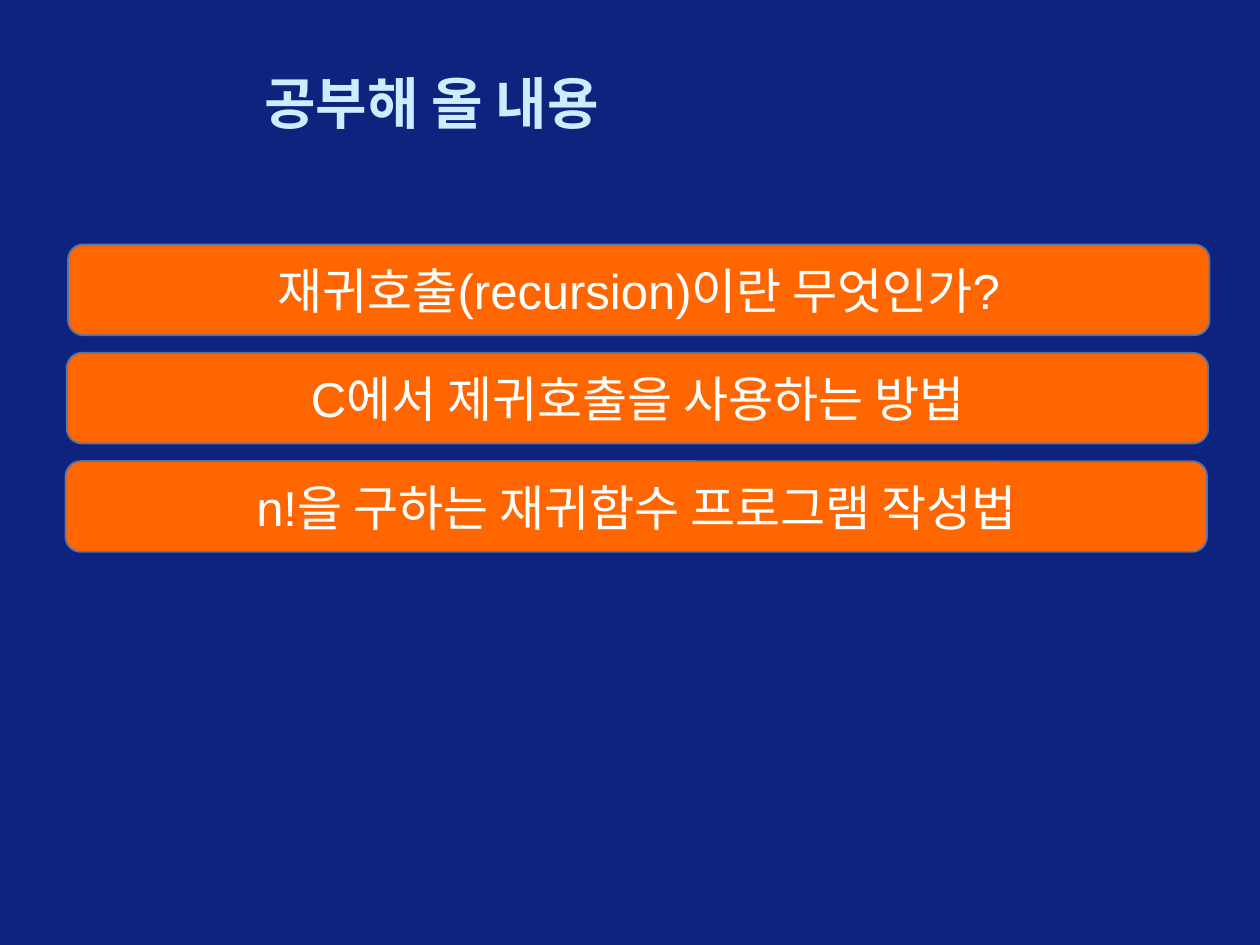
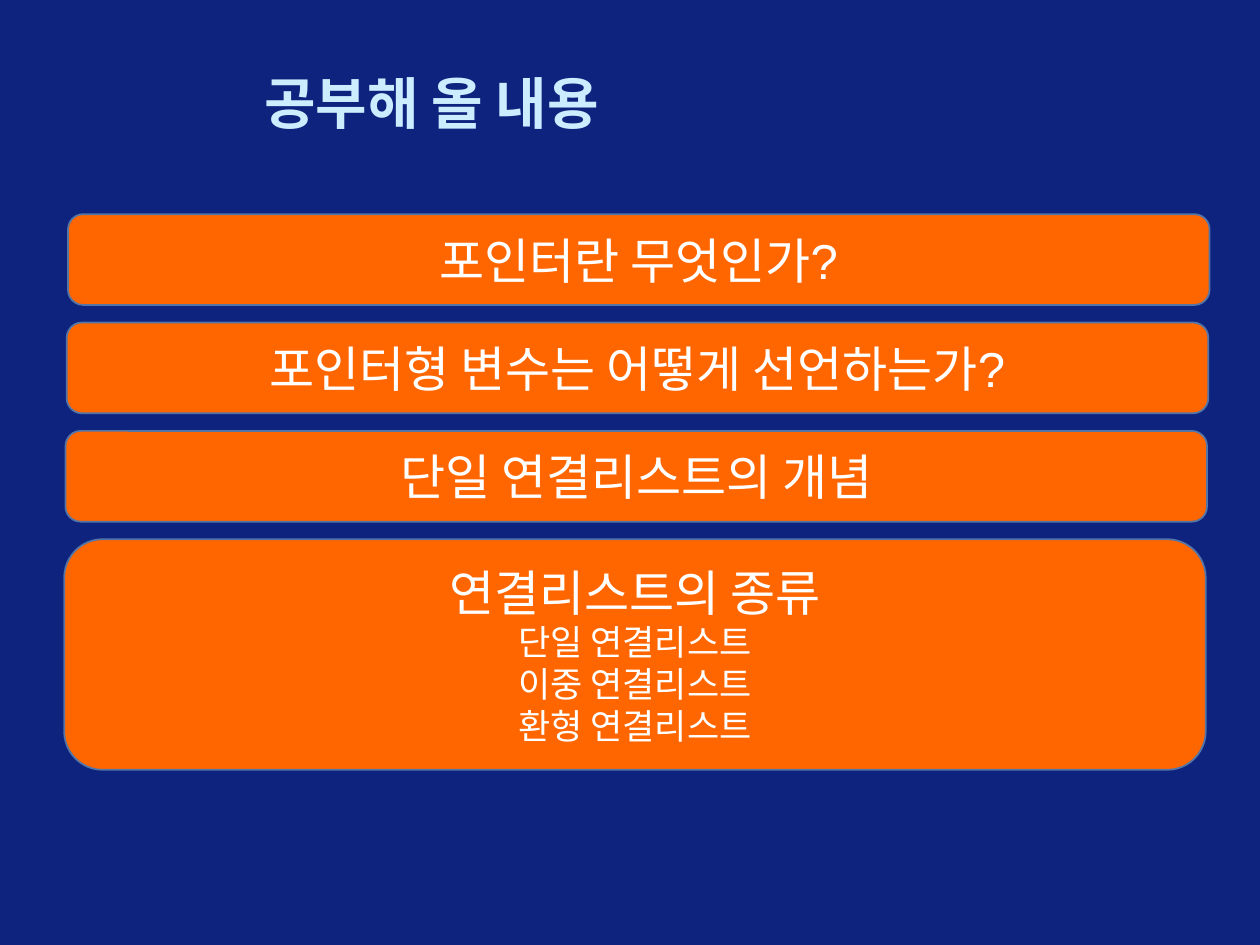
from dataclasses import dataclass

from pptx import Presentation
from pptx.dml.color import RGBColor
from pptx.enum.shapes import MSO_SHAPE
from pptx.enum.text import MSO_ANCHOR, PP_ALIGN
from pptx.util import Inches, Pt


@dataclass(frozen=True)
class Theme:
    navy: str = "0E237E"
    orange: str = "FF6600"
    outline: str = "5375A7"
    sky: str = "CCECFF"
    white: str = "FFFFFF"
    font: str = "Arial"
    title_size: int = 32
    topic_size: int = 28
    detail_size: int = 20


theme = Theme()


def write(frame, text, size, color=theme.white, bold=False, align=PP_ALIGN.CENTER, first=True):
    frame.word_wrap = True
    frame.vertical_anchor = MSO_ANCHOR.MIDDLE
    paragraph = frame.paragraphs[0] if first else frame.add_paragraph()
    paragraph.alignment = align
    run = paragraph.add_run()
    run.text = text
    run.font.name = theme.font
    run.font.size = Pt(size)
    run.font.bold = bold
    run.font.color.rgb = RGBColor.from_string(color)


heading = "공부해 올 내용"
lessons = [
    (1.94, [
        ["재귀호출(recursion)이란 무엇인가?"],
        ["C에서 제귀호출을 사용하는 방법"],
        ["n!을 구하는 재귀함수 프로그램 작성법"],
    ]),
    (1.7, [
        ["포인터란 무엇인가?"],
        ["포인터형 변수는 어떻게 선언하는가?"],
        ["단일 연결리스트의 개념"],
        ["연결리스트의 종류", "단일 연결리스트", "이중 연결리스트", "환형 연결리스트"],
    ]),
]

column_left, column_width, row_shift = 0.54, 9.06, 0.01
row_pitch, row_height, detail_height = 0.86, 0.72, 0.37

deck = Presentation()
deck.slide_width, deck.slide_height = Inches(10), Inches(7.5)
backdrop = deck.slide_master.background.fill
backdrop.solid()
backdrop.fore_color.rgb = RGBColor.from_string(theme.navy)

for first_row, topics in lessons:
    slide = deck.slides.add_slide(deck.slide_layouts[6])
    title = slide.shapes.add_textbox(Inches(2), Inches(0.5), Inches(7.58), Inches(0.62))
    write(title.text_frame, heading, theme.title_size, theme.sky, bold=True, align=PP_ALIGN.LEFT)

    for row, (topic, *details) in enumerate(topics):
        bar = slide.shapes.add_shape(
            MSO_SHAPE.ROUNDED_RECTANGLE,
            Inches(column_left - row * row_shift),
            Inches(first_row + row * row_pitch),
            Inches(column_width),
            Inches(row_height + len(details) * detail_height),
        )
        bar.shadow.inherit = False
        bar.fill.solid()
        bar.fill.fore_color.rgb = RGBColor.from_string(theme.orange)
        bar.line.color.rgb = RGBColor.from_string(theme.outline)
        bar.line.width = Pt(1)
        write(bar.text_frame, topic, theme.topic_size)
        for detail in details:
            write(bar.text_frame, detail, theme.detail_size, first=False)

deck.save("out.pptx")
